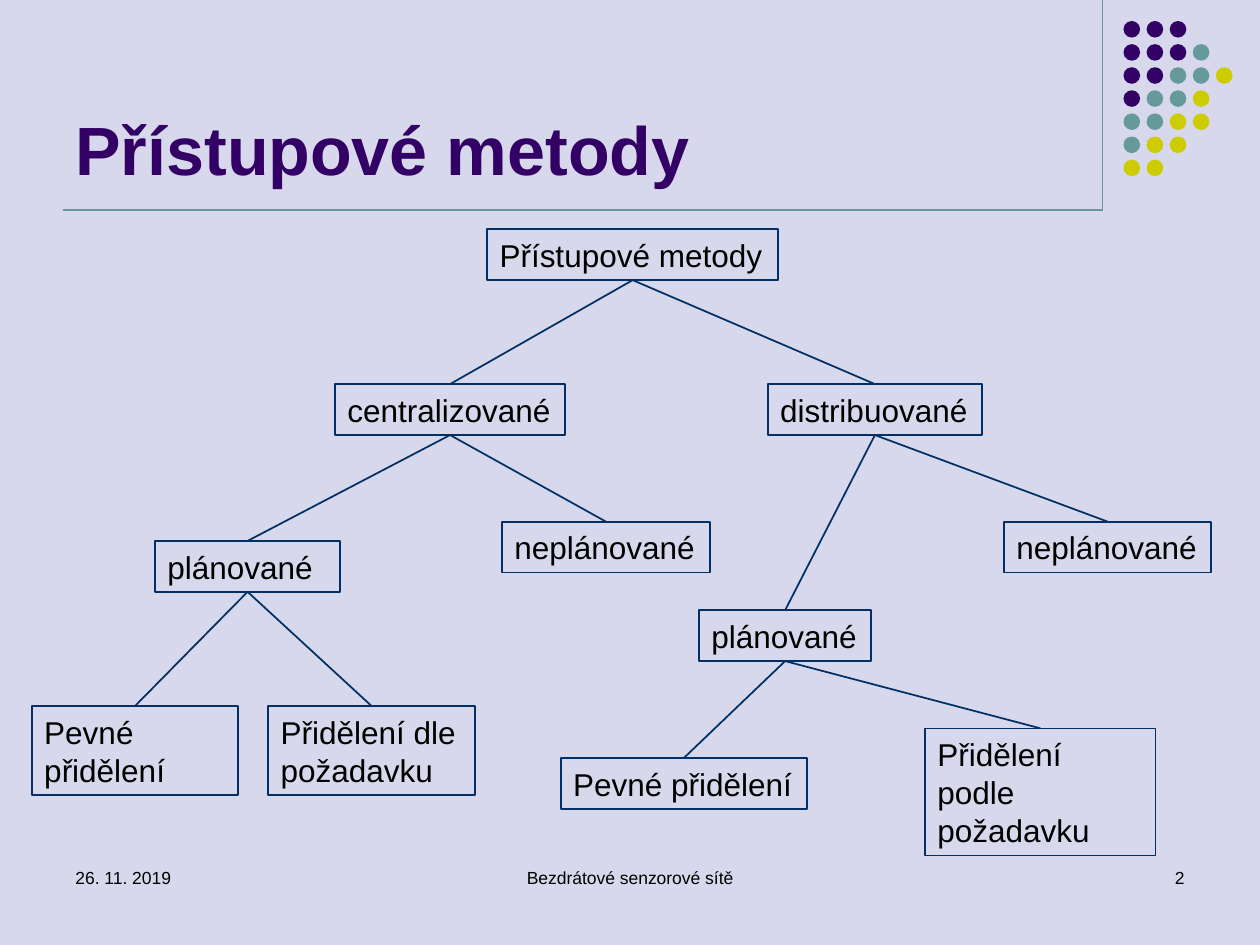
from lxml import etree
from pptx import Presentation
from pptx import util as u
from pptx.dml.color import RGBColor
from pptx.enum import shapes, text
from pptx.oxml.ns import qn

FONT = "Arial"
PURPLE, TEAL, YELLOW = "330066", "669999", "CCCC00"
NAVY, BLACK, BACKGROUND = "003065", "000000", "D8D8EC"
BOTTOM, TOP = 2, 0
ONE_LINE, TWO_LINES, THREE_LINES = 29.1, 51, 72.7

DOT_ROWS = ["PPP", "PPPT", "PPTTY", "PTTY", "TTYY", "TYY", "YY"]
DOT_COLORS = {"P": PURPLE, "T": TEAL, "Y": YELLOW}

METHODS = {
    "root": ("Přístupové metody", 278.4, 131, 166.3, ONE_LINE, False),
    "central": ("centralizované", 191.4, 219.5, 131.6, ONE_LINE, False),
    "distributed": ("distribuované", 438.7, 219.5, 122.5, ONE_LINE, False),
    "distributed unplanned": ("neplánované", 573.7, 298.1, 118.5, ONE_LINE, False),
    "distributed planned": ("plánované", 399.4, 348.7, 98.5, ONE_LINE, False),
    "distributed fixed": ("Pevné přidělení", 320.4, 433.2, 140.7, ONE_LINE, False),
    "distributed on demand": ("Přidělení podle\npožadavku", 528.6, 416.2, 131.8, THREE_LINES, True),
    "central unplanned": ("neplánované", 286.8, 298.1, 119, ONE_LINE, True),
    "central planned": ("plánované", 88.6, 309.1, 105.8, ONE_LINE, True),
    "central fixed": ("Pevné přidělení", 18.2, 403.4, 118, TWO_LINES, True),
    "central on demand": ("Přidělení dle požadavku", 153.3, 403.4, 118, TWO_LINES, True),
}

BRANCHES = {
    "root": ["central", "distributed"],
    "central": ["central planned", "central unplanned"],
    "distributed": ["distributed planned", "distributed unplanned"],
    "central planned": ["central fixed", "central on demand"],
    "distributed planned": ["distributed fixed", "distributed on demand"],
}


def color(hex_value):
    return RGBColor.from_string(hex_value)


def write(frame, words, size, hex_value, bold=False, align=text.PP_ALIGN.LEFT):
    frame.text = words
    for paragraph in frame.paragraphs:
        paragraph.alignment = align
        for run in paragraph.runs:
            run.font.name = FONT
            run.font.size = u.Pt(size)
            run.font.bold = bold
            run.font.color.rgb = color(hex_value)


def add_label(slide, words, box, size, hex_value, bold=False,
              align=text.PP_ALIGN.LEFT, anchor=text.MSO_ANCHOR.TOP):
    label = slide.shapes.add_textbox(*map(u.Pt, box))
    label.text_frame.word_wrap = True
    label.text_frame.vertical_anchor = anchor
    write(label.text_frame, words, size, hex_value, bold, align)


def add_line(slide, start, end, hex_value, width):
    line = slide.shapes.add_connector(
        shapes.MSO_CONNECTOR.STRAIGHT, *map(u.Pt, (*start, *end)))
    line.line.color.rgb = color(hex_value)
    line.line.width = u.Pt(width)
    etree.SubElement(line._element.spPr, qn("a:effectLst"))
    return line


def add_dots(slide, left, top, pitch, diameter):
    dots = slide.shapes.add_group_shape()
    for row, letters in enumerate(DOT_ROWS):
        for column, letter in enumerate(letters):
            dot = dots.shapes.add_shape(
                shapes.MSO_SHAPE.OVAL, u.Pt(left + column * pitch),
                u.Pt(top + row * pitch), u.Pt(diameter), u.Pt(diameter))
            dot.shadow.inherit = False
            dot.fill.solid()
            dot.fill.fore_color.rgb = color(DOT_COLORS[letter])
            dot.line.fill.background()


def add_method(slide, words, left, top, width, height, wrap):
    method = slide.shapes.add_shape(
        shapes.MSO_SHAPE.RECTANGLE, *map(u.Pt, (left, top, width, height)))
    method.shadow.inherit = False
    method.fill.background()
    method.line.color.rgb = color(NAVY)
    method.line.width = u.Pt(1)
    frame = method.text_frame
    frame.word_wrap = wrap
    frame.auto_size = text.MSO_AUTO_SIZE.SHAPE_TO_FIT_TEXT
    frame.vertical_anchor = text.MSO_ANCHOR.MIDDLE
    write(frame, words, 18, BLACK)
    return method


def add_branch(slide, parent, child):
    branch = add_line(slide, (0, 0), (0, 0), NAVY, 1)
    branch.begin_connect(parent, BOTTOM)
    branch.end_connect(child, TOP)


def main():
    deck = Presentation()
    deck.slide_width, deck.slide_height = u.Pt(720), u.Pt(540)
    slide = deck.slides.add_slide(deck.slide_layouts[6])
    slide.background.fill.solid()
    slide.background.fill.fore_color.rgb = color(BACKGROUND)

    add_line(slide, (630, 0), (630, 120), TEAL, 0.75)
    add_dots(slide, 642, 12, 13.2, 9.5)
    add_line(slide, (36, 120), (630, 120), TEAL, 0.75)

    add_label(slide, "Přístupové metody", (36, 9.5, 594, 102), 39, PURPLE,
              bold=True, anchor=text.MSO_ANCHOR.BOTTOM)
    add_label(slide, "26. 11. 2019", (36, 492, 168, 36), 10, BLACK)
    add_label(slide, "Bezdrátové senzorové sítě", (246, 492, 228, 36), 10, BLACK,
              align=text.PP_ALIGN.CENTER)
    add_label(slide, "2", (516, 492, 168, 36), 10, BLACK, align=text.PP_ALIGN.RIGHT)

    methods = {key: add_method(slide, *spec_row) for key, spec_row in METHODS.items()}
    for parent, children in BRANCHES.items():
        for child in children:
            add_branch(slide, methods[parent], methods[child])

    deck.save("out.pptx")


if __name__ == "__main__":
    main()
